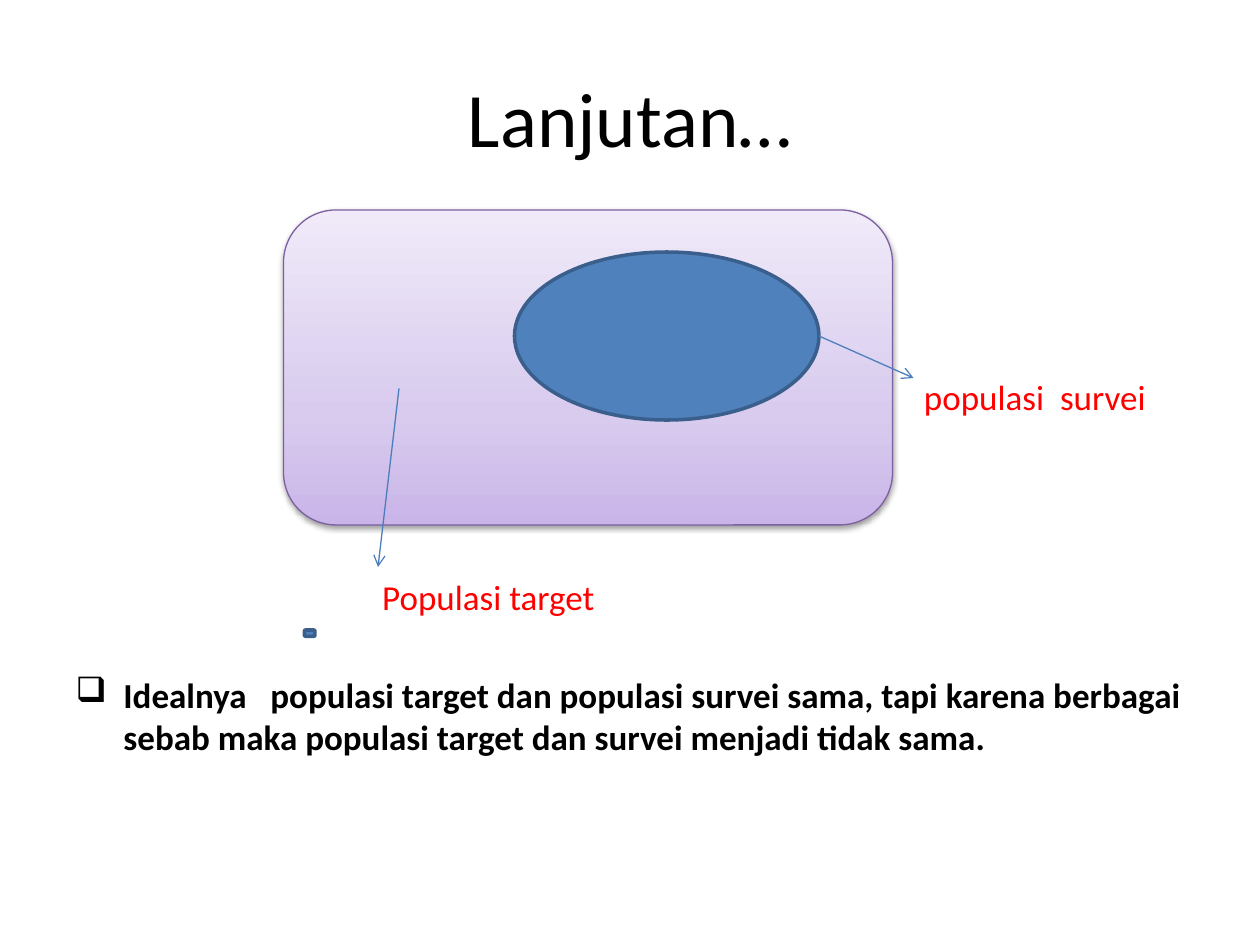
from copy import deepcopy

from lxml.etree import SubElement
from pptx import Presentation
from pptx.dml.color import RGBColor
from pptx.enum.shapes import MSO_CONNECTOR, MSO_SHAPE
from pptx.enum.text import MSO_ANCHOR, PP_ALIGN
from pptx.oxml.ns import qn
from pptx.util import Inches, Pt

ROUND, OVAL = MSO_SHAPE.ROUNDED_RECTANGLE, MSO_SHAPE.OVAL
LINE = MSO_CONNECTOR.STRAIGHT
TOP, MIDDLE = MSO_ANCHOR.TOP, MSO_ANCHOR.MIDDLE
LEFT, CENTER = PP_ALIGN.LEFT, PP_ALIGN.CENTER

BLUE, EDGE, ARROW, PURPLE = "4F81BD", "3A5F8C", "4B7EBC", "7D60A0"
BLACK, RED = "000000", "FF0000"
LILAC = [(0, "C9B5E8"), (0.35, "D8CBEE"), (1, "F0EAF9")]


def color(code):
    return RGBColor.from_string(code)


def unit(*counts):
    """Turn grid steps, twelve to the inch, into lengths."""
    return [Inches(n / 12) for n in counts]


def node(parent, tag, **attrs):
    return SubElement(parent, qn(tag), {k: str(v) for k, v in attrs.items()})


class Page:
    """Holds the slide and its font; places are in grid steps (120 x 90)."""

    def __init__(self, deck, font="Calibri"):
        self.slide = deck.slides.add_slide(deck.slide_layouts[6])
        self.font = font

    def text(self, words, box, size=20, ink=BLACK, bold=False, align=LEFT,
             anchor=TOP, bullet=None, indent=0):
        frame = self.slide.shapes.add_textbox(*unit(*box)).text_frame
        frame.word_wrap = True
        frame.vertical_anchor = anchor
        frame.margin_left = frame.margin_right = 0
        frame.margin_top = frame.margin_bottom = 0
        para = frame.paragraphs[0]
        para.alignment = align
        run = para.add_run()
        run.text = words
        run.font.name, run.font.size, run.font.bold = self.font, Pt(size), bold
        run.font.color.rgb = color(ink)
        if bullet:
            props = para._p.get_or_add_pPr()
            hang = Inches(indent)
            props.set("marL", str(hang))
            props.set("indent", str(-hang))
            node(props, "a:buChar", char=bullet)

    def shape(self, kind, box, fill=BLUE, edge=EDGE, width=2):
        """Draw a preset shape; fill is a colour or a list of stops."""
        form = self.slide.shapes.add_shape(kind, *unit(*box))
        form.shadow.inherit = False
        form.line.color.rgb, form.line.width = color(edge), Pt(width)
        if isinstance(fill, str):
            form.fill.solid()
            form.fill.fore_color.rgb = color(fill)
        else:
            self.blend(form.fill, fill)
        return form

    def blend(self, fill, stops):
        """Fill from the bottom up with three stops."""
        fill.gradient()
        fill.gradient_angle = 90
        first = fill.gradient_stops[0]._gs
        first.addnext(deepcopy(first))
        for stop, (place, code) in zip(fill.gradient_stops, stops):
            stop.position = place
            stop.color.rgb = color(code)

    def shade(self, form, blur=3.1, drop=1.6, alpha=38):
        """Cast a soft shadow straight down."""
        effects = form._element.spPr.find(qn("a:effectLst"))
        cast = node(effects, "a:outerShdw", blurRad=Pt(blur), dist=Pt(drop),
                    dir=90 * 60000, rotWithShape=0)
        tint = node(cast, "a:srgbClr", val=BLACK)
        node(tint, "a:alpha", val=alpha * 1000)

    def arrow(self, start, end):
        link = self.slide.shapes.add_connector(LINE, *unit(*start, *end))
        link.line.color.rgb, link.line.width = color(ARROW), Pt(0.75)
        node(link.line._get_or_add_ln(), "a:tailEnd", type="arrow")
        node(link._element.spPr, "a:effectLst")


def main():
    deck = Presentation()
    deck.slide_width, deck.slide_height = unit(120, 90)
    page = Page(deck)

    page.text("Lanjutan…", (6, 3.6, 108, 15), size=44, align=CENTER, anchor=MIDDLE)
    page.text("populasi  survei", (88, 35.8, 24, 4), ink=RED)
    page.text("Populasi target", (36.4, 54.8, 24, 4), ink=RED)
    page.text("Idealnya   populasi target dan populasi survei sama, tapi karena "
              "berbagai sebab maka populasi target dan survei menjadi tidak sama.",
              (7.2, 64.1, 105.6, 8.2), bold=True, bullet="❑", indent=0.38)

    page.shape(ROUND, (29, 60, 1, 0.6))
    target = page.shape(ROUND, (27, 20, 58, 30), LILAC, PURPLE, 0.75)
    page.shade(target)
    page.shape(OVAL, (49, 24, 29, 16))
    page.arrow((78, 32), (87, 36))
    page.arrow((38, 37), (36, 54))

    deck.save("out.pptx")


if __name__ == "__main__":
    main()
